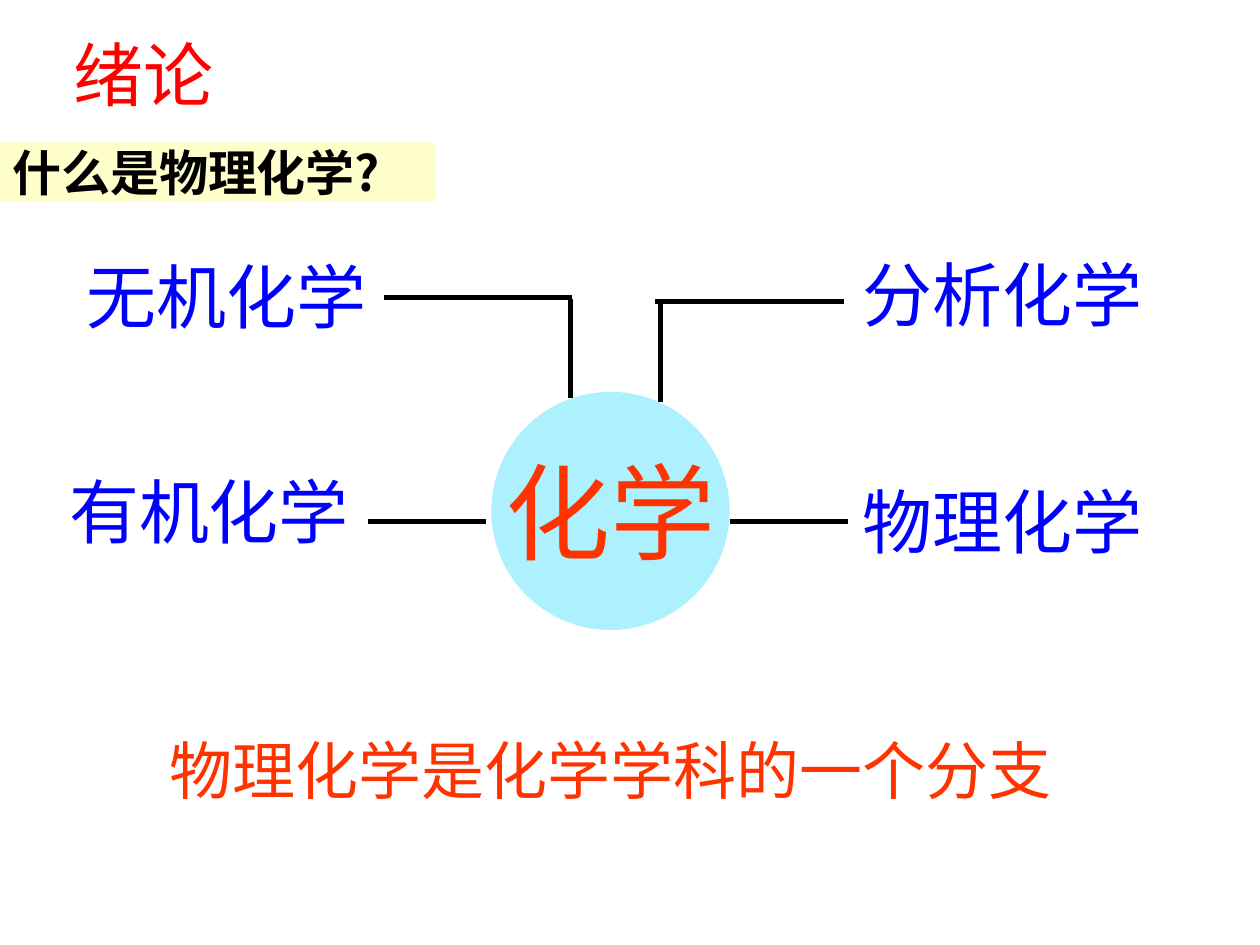
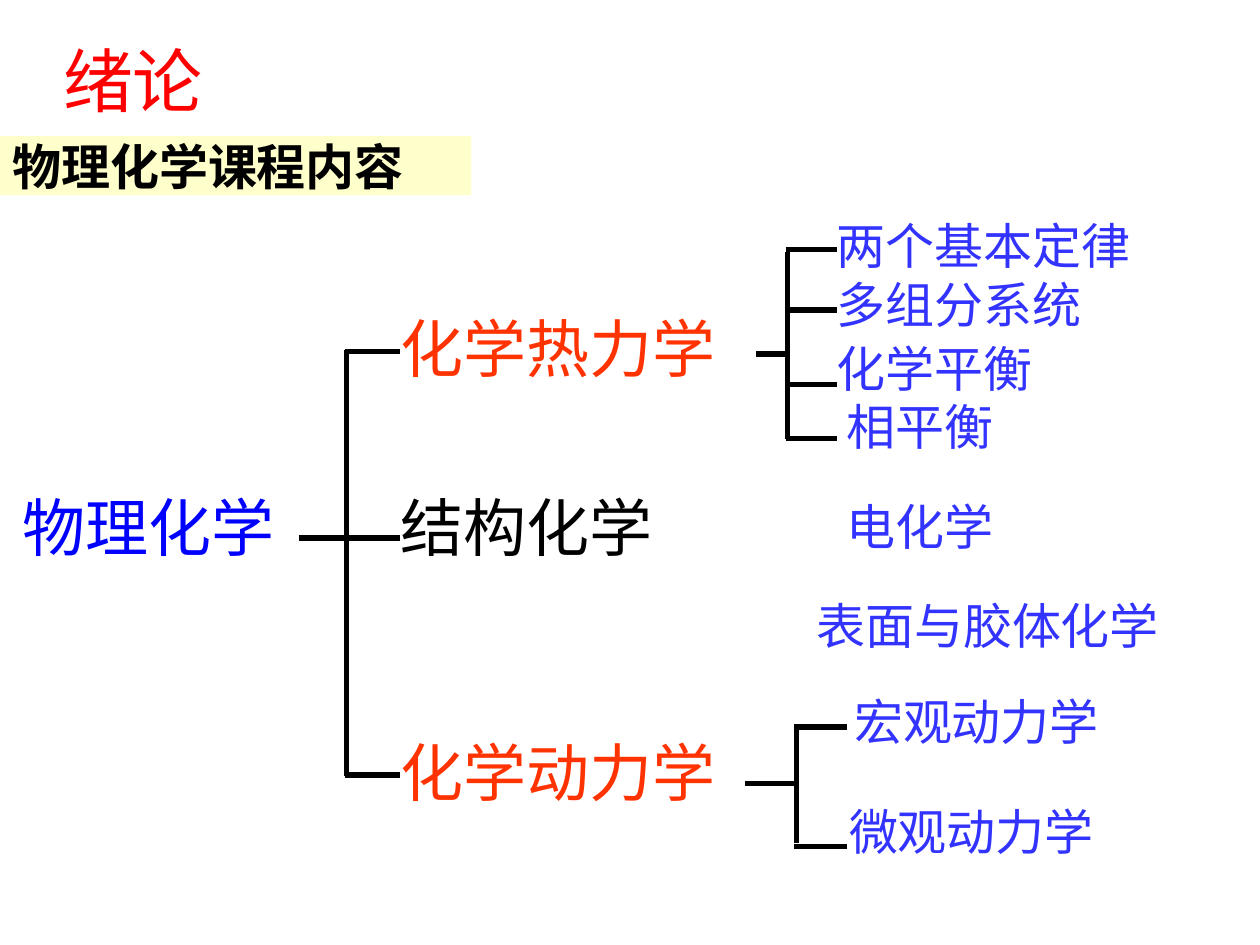
"""Build two introductory slides on physical chemistry and its course content."""
from dataclasses import dataclass

from lxml import etree
from pptx import Presentation
from pptx import util as u
from pptx.dml.color import RGBColor
from pptx.enum import shapes, text
from pptx.oxml.ns import qn

FONT = "Noto Sans CJK SC"
RED, ORANGE, BLUE, VIOLET = "FF0000", "FF3300", "0000FF", "3333FF"
BLACK, CREAM, CYAN = "000000", "FFFFCC", "AEF1FE"
LINE_WIDTH = 3
TITLE = "绪论"
TITLE_HEIGHT, BAND_HEIGHT = 48, 33.8
PLAIN = {"auto_size": text.MSO_AUTO_SIZE.SHAPE_TO_FIT_TEXT, "word_wrap": False,
         "vertical_anchor": text.MSO_ANCHOR.TOP}
WRAPPED = PLAIN | {"word_wrap": True}
TITLE_FRAME = WRAPPED | {"vertical_anchor": text.MSO_ANCHOR.MIDDLE, "margin_left": 0,
                         "margin_right": 0, "margin_top": 0, "margin_bottom": 0}
BAND_FRAME = WRAPPED | {"margin_top": 0, "margin_bottom": 0}
CIRCLE_FRAME = {"word_wrap": False, "vertical_anchor": text.MSO_ANCHOR.MIDDLE}


@dataclass(frozen=True)
class Rect:
    left: float
    top: float
    width: float
    height: float

    def lengths(self):
        return [u.Pt(value) for value in (self.left, self.top, self.width, self.height)]


@dataclass(frozen=True)
class Style:
    size: float
    color: str
    bold: bool = False
    align: text.PP_ALIGN = text.PP_ALIGN.LEFT
    spacing: float = 1.0


@dataclass(frozen=True)
class Label:
    words: str
    rect: Rect
    style: Style


@dataclass(frozen=True)
class Line:
    x1: float
    y1: float
    x2: float
    y2: float


@dataclass(frozen=True)
class Bracket:
    stem_left: float
    stem_y: float
    spine_x: float
    spine_top: float
    spine_bottom: float
    branch_right: float
    branch_ys: tuple[float, ...]

    def lines(self) -> list[Line]:
        stem = Line(self.stem_left, self.stem_y, self.spine_x, self.stem_y)
        spine = Line(self.spine_x, self.spine_top, self.spine_x, self.spine_bottom)
        branches = [Line(self.spine_x - 1, y, self.branch_right, y) for y in self.branch_ys]
        return [stem, spine, *branches]


TITLE_STYLE = Style(40, RED)
BAND_STYLE = Style(28, BLACK, bold=True)
CIRCLE_STYLE = Style(60, ORANGE, align=text.PP_ALIGN.CENTER)
FIELD_STYLE = Style(40, BLUE)
SUMMARY_STYLE = Style(36, ORANGE)
ROOT_STYLE = Style(36, BLUE)
STRUCTURE_STYLE = Style(36, BLACK)
TOPIC_STYLE = Style(28, VIOLET, spacing=0.8)

CIRCLE = Rect(280.8, 223.9, 136.1, 136.1)
FIELDS = [Label(words, Rect(left, top, 174.2, 55.4), FIELD_STYLE) for words, left, top in (
    ("无机化学", 42.5, 141.1), ("分析化学", 486, 140.4),
    ("有机化学", 32.4, 264.2), ("物理化学", 486, 270))]
SUMMARY = Label("物理化学是化学学科的一个分支", Rect(90, 414.7, 525.6, 51.1), SUMMARY_STYLE)
FIELD_LINES = [
    Line(326.2, 227.5, 326.2, 170.6), Line(326.9, 169.9, 219.6, 169.9),
    Line(377.3, 229.7, 377.3, 172.8), Line(482.4, 172.1, 374.4, 172.1),
    Line(210.2, 298.1, 277.9, 298.1), Line(416.9, 298.1, 484.6, 298.1)]

BRANCHES = [Label(words, Rect(left, top, width, 50.4), style)
            for words, left, top, width, style in (
    ("物理化学", 5.8, 275.8, 158.4, ROOT_STYLE),
    ("化学热力学", 221.8, 173.5, 194.4, SUMMARY_STYLE),
    ("结构化学", 221.8, 275.8, 158.4, STRUCTURE_STYLE),
    ("化学动力学", 221.8, 415.4, 194.4, SUMMARY_STYLE))]
TOPICS = [Label(words, Rect(left, top, 14.4 + 28 * len(words), 33.8), TOPIC_STYLE)
          for words, left, top in (
    ("两个基本定律", 470.9, 126), ("多组分系统", 470.9, 159.8),
    ("化学平衡", 470.9, 196.6), ("相平衡", 476.6, 229.7),
    ("电化学", 476.6, 286.6), ("表面与胶体化学", 459.4, 343.4),
    ("宏观动力学", 481, 398.2), ("微观动力学", 478.1, 460.8))]
BRACKETS = [
    Bracket(170.6, 307.4, 198, 200.2, 443.5, 228.5, (200.9, 307.4, 442.8)),
    Bracket(432, 202.3, 450, 144, 250.6, 478.1, (142.6, 177.1, 219.6, 250.6)),
    Bracket(425.5, 447.8, 455, 414, 481.7, 483.8, (415.4, 483.8))]


def rgb(color: str) -> RGBColor:
    """Turn a hex string into a colour."""
    return RGBColor.from_string(color)


def set_all(target, values: dict) -> None:
    """Set each named attribute of the target."""
    for name, value in values.items():
        setattr(target, name, value)


def write(box, words: str, style: Style, frame: dict) -> None:
    """Put one styled paragraph into a shape."""
    set_all(box.text_frame, frame)
    para = box.text_frame.paragraphs[0]
    set_all(para, {"alignment": style.align, "line_spacing": style.spacing})
    span = para.add_run()
    span.text = words
    set_all(span.font, {"name": FONT, "size": u.Pt(style.size), "bold": style.bold})
    span.font.color.rgb = rgb(style.color)
    etree.SubElement(span.font._element, qn("a:ea"), typeface=FONT)


def add_label(page, label: Label, frame: dict = PLAIN) -> None:
    """Add a text box."""
    box = page.shapes.add_textbox(*label.rect.lengths())
    write(box, label.words, label.style, frame)


def add_filled(page, kind, rect: Rect, fill: str, words: str, style: Style, frame: dict) -> None:
    """Add a filled shape without an outline."""
    box = page.shapes.add_shape(kind, *rect.lengths())
    box.shadow.inherit = False
    box.fill.solid()
    box.fill.fore_color.rgb = rgb(fill)
    box.line.fill.background()
    write(box, words, style, frame)


def add_line(page, line: Line) -> None:
    """Add a straight black line."""
    ends = [u.Pt(value) for value in (line.x1, line.y1, line.x2, line.y2)]
    connector = page.shapes.add_connector(shapes.MSO_CONNECTOR.STRAIGHT, *ends)
    connector.line.color.rgb = rgb(BLACK)
    connector.line.width = u.Pt(LINE_WIDTH)
    etree.SubElement(connector._element.spPr, qn("a:effectLst"))


def add_page(deck, title_left: float, title_top: float, title_width: float,
             heading: str, band_top: float, band_width: float):
    """Add a slide with its title and heading band."""
    page = deck.slides.add_slide(deck.slide_layouts.get_by_name("Title Only"))
    title = page.shapes.title
    rect = Rect(title_left, title_top, title_width, TITLE_HEIGHT)
    set_all(title, dict(zip(("left", "top", "width", "height"), rect.lengths())))
    write(title, TITLE, TITLE_STYLE, TITLE_FRAME)
    add_filled(page, shapes.MSO_SHAPE.RECTANGLE, Rect(0, band_top, band_width, BAND_HEIGHT),
               CREAM, heading, BAND_STYLE, BAND_FRAME)
    return page


def add_definition(deck) -> None:
    """Add the slide that places physical chemistry within chemistry."""
    page = add_page(deck, 42, 18, 118.8, "什么是物理化学?", 81.4, 249.1)
    add_filled(page, shapes.MSO_SHAPE.OVAL, CIRCLE, CYAN, "化学", CIRCLE_STYLE, CIRCLE_FRAME)
    for line in FIELD_LINES:
        add_line(page, line)
    for label in FIELDS:
        add_label(page, label)
    add_label(page, SUMMARY, WRAPPED)


def add_contents(deck) -> None:
    """Add the slide with the tree of course topics."""
    page = add_page(deck, 36, 21.6, 586.1, "物理化学课程内容", 77.8, 269.3)
    for bracket in BRACKETS:
        for line in bracket.lines():
            add_line(page, line)
    for label in BRANCHES + TOPICS:
        add_label(page, label)


def main() -> None:
    """Build and save the deck."""
    deck = Presentation()
    set_all(deck, {"slide_width": u.Pt(720), "slide_height": u.Pt(540)})
    add_definition(deck)
    add_contents(deck)
    deck.save("out.pptx")


if __name__ == "__main__":
    main()
